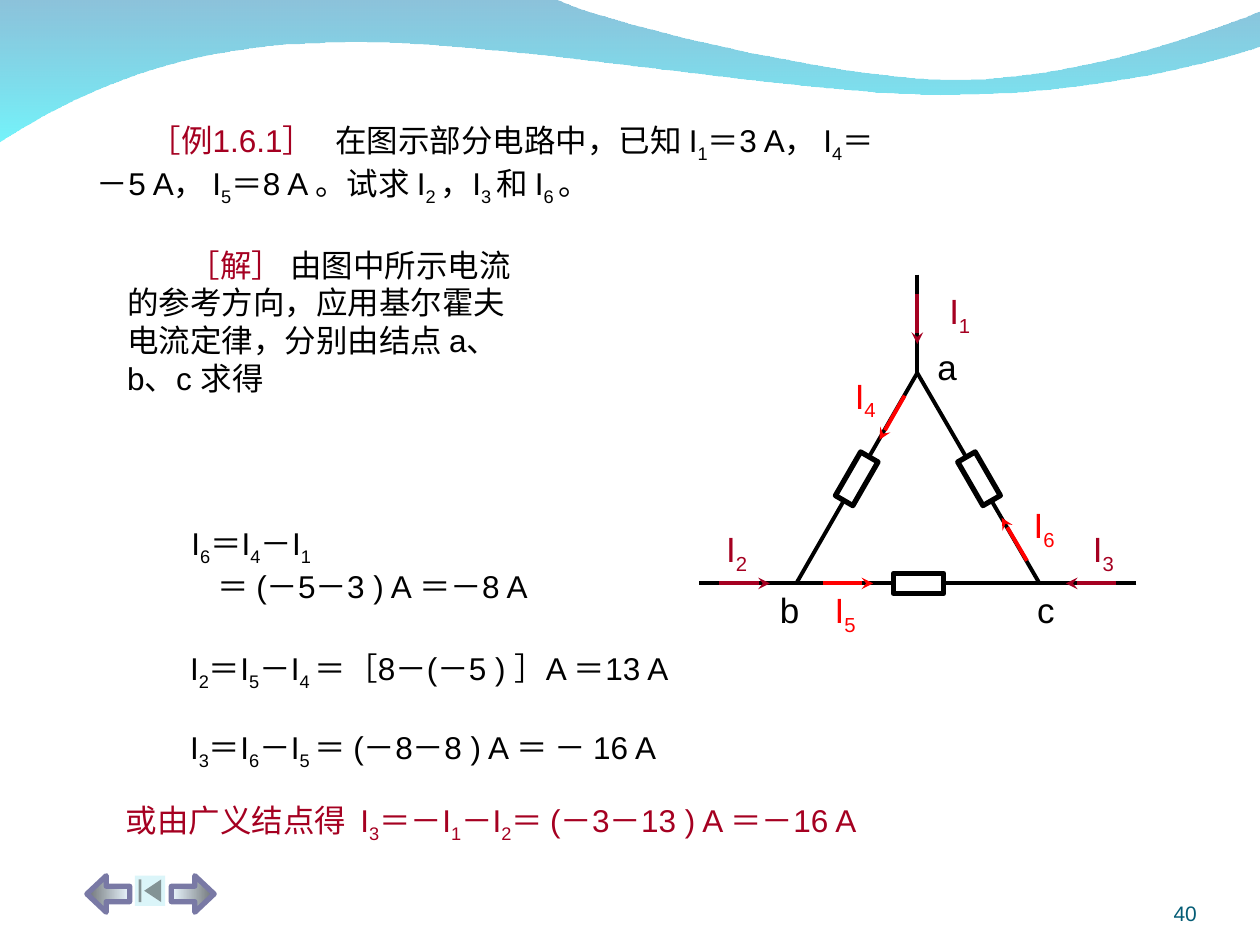
from lxml import etree
from pptx import Presentation
from pptx.dml.color import RGBColor
from pptx.enum.shapes import MSO_CONNECTOR, MSO_SHAPE
from pptx.enum.text import MSO_ANCHOR, MSO_AUTO_SIZE, PP_ALIGN
from pptx.oxml import parse_xml
from pptx.oxml.ns import nsdecls, qn
from pptx.util import Inches, Pt

BLACK, CRIMSON, RED, WHITE = "000000", "A50021", "FF0000", "FFFFFF"

presentation = Presentation()
presentation.slide_width = Inches(10)
presentation.slide_height = Inches(7.5)
slide = presentation.slides.add_slide(presentation.slide_layouts[6])
shapes = slide.shapes


def add_text(left, top, width, height, paragraphs, size=18, label=False, indents={}):
    shape = shapes.add_textbox(Inches(left), Inches(top), Inches(width), Inches(height))
    frame = shape.text_frame
    frame.word_wrap = not label
    frame.auto_size = MSO_AUTO_SIZE.SHAPE_TO_FIT_TEXT
    for index, chunks in enumerate(paragraphs):
        paragraph = frame.add_paragraph() if index else frame.paragraphs[0]
        paragraph.alignment = PP_ALIGN.CENTER if label else PP_ALIGN.LEFT
        if index in indents:
            paragraph._p.get_or_add_pPr().set("indent", str(Inches(indents[index])))
        for text, color in chunks:
            for position, part in enumerate(text.split("|")):
                for line_number, line in enumerate(part.split("\v")):
                    if line_number:
                        paragraph.add_line_break()
                    if not line:
                        continue
                    run = paragraph.add_run()
                    run.text = line
                    run.font.name = "Arial"
                    run.font.size = Pt(size)
                    run.font.color.rgb = RGBColor.from_string(color)
                    if position % 2:
                        run._r.get_or_add_rPr().set("baseline", "-25000")
    return shape


def add_line(start, end, color=BLACK, arrow=False):
    points = [Inches(value) for value in (*start, *end)]
    connector = shapes.add_connector(MSO_CONNECTOR.STRAIGHT, *points)
    connector.line.color.rgb = RGBColor.from_string(color)
    connector.line.width = Pt(2.25)
    if arrow:
        etree.SubElement(connector.line._get_or_add_ln(), qn("a:tailEnd"), type="stealth")
    etree.SubElement(connector._element.spPr, qn("a:effectLst"))


upper = [(4.4, -0.01), (4.76, 0.17), (6.64, 0.63), (7.58, 0.63), (8.53, 0.63), (9.58, 0.26), (10, 0.09)]
lower = [(10.01, 0.36), (9.83, 0.44), (8.7, 0.76), (7.46, 0.75), (6.22, 0.75), (3.82, 0.28),
         (2.58, 0.34), (1.29, 0.36), (0.46, 0.83), (-0.01, 1.13)]
outline = [(0, 0)]
for edge in (upper, lower):
    outline.append(edge[0])
    for first in range(0, len(edge) - 1, 3):
        controls = edge[first:first + 4]
        for step in range(1, 25):
            t = step / 24
            weights = ((1 - t) ** 3, 3 * t * (1 - t) ** 2, 3 * t ** 2 * (1 - t), t ** 3)
            outline.append(tuple(sum(w * point[axis] for w, point in zip(weights, controls))
                                 for axis in (0, 1)))
outline = [(Inches(x), Inches(y)) for x, y in outline]
builder = shapes.build_freeform(*outline[0])
builder.add_line_segments(outline[1:], close=True)
wave = builder.convert_to_shape()
wave.shadow.inherit = False
wave.line.fill.background()
wave.fill.gradient()
wave_gradient = parse_xml(
    f'<a:gradFill {nsdecls("a")} rotWithShape="1"><a:gsLst>'
    '<a:gs pos="0"><a:srgbClr val="0079AF"><a:alpha val="45000"/></a:srgbClr></a:gs>'
    '<a:gs pos="100000"><a:srgbClr val="00EBF8"><a:alpha val="55000"/></a:srgbClr></a:gs>'
    '</a:gsLst><a:lin ang="5400000" scaled="0"/></a:gradFill>')
properties = wave._element.spPr
properties.replace(properties.find(qn("a:gradFill")), wave_gradient)

page_number = add_text(8.67, 6.95, 0.83, 0.4, [[("40", "045C75")]], size=12)
frame = page_number.text_frame
frame.auto_size = MSO_AUTO_SIZE.NONE
frame.vertical_anchor = MSO_ANCHOR.BOTTOM
frame.margin_left = frame.margin_right = frame.margin_top = frame.margin_bottom = 0
frame.paragraphs[0].alignment = PP_ALIGN.RIGHT

add_text(0.91, 1.9, 4.72, 1.3, [
    [("［解］ ", CRIMSON), ("由图中所示电流", BLACK)],
    [("的参考方向，应用基尔霍夫", BLACK)],
    [("电流定律，分别由结点 a、", BLACK)],
    [("b、c 求得", BLACK)],
], indents={0: 0.49})
add_text(0.67, 0.91, 8.94, 0.78, [[
    ("［例1.6.1］   ", CRIMSON),
    ("在图示部分电路中，已知 I|1|＝3 A， I|4|＝\v－5 A， I|5|＝8 A 。试求 I|2 |，I|3 |和 I|6 |。", BLACK),
]], indents={0: 0.42})
add_text(1.42, 4.11, 4.06, 0.74, [
    [("I|6|＝I|4|－I|1", BLACK)],
    [("＝ (－5－3 ) A ＝－8 A", BLACK)],
], indents={1: 0.21})
for left, top, width, equation, color in (
    (1.41, 5.1, 7.09, "I|2|＝I|5|－I|4 |＝［8－(－5 ) ］A ＝13 A", BLACK),
    (1.41, 5.73, 7.09, "I|3|＝I|6|－I|5 |＝ (－8－8 ) A ＝ － 16 A", BLACK),
    (0.9, 6.31, 8.55, "或由广义结点得  I|3|＝－I|1|－I|2|＝ (－3－13 ) A ＝－16 A", CRIMSON),
):
    add_text(left, top, width, 0.44, [[(equation, color)]])

node_a, node_b, node_c = (7.28, 2.96), (6.32, 4.63), (8.25, 4.63)
for start, end, center, rotation, arrow_start, arrow_end in (
    (node_b, node_a, (6.8, 3.8), 300, (7.18, 3.14), (6.98, 3.49)),
    (node_c, node_b, (7.29, 4.63), 180, (6.53, 4.63), (6.93, 4.63)),
    (node_a, node_c, (7.77, 3.8), 60, (8.15, 4.45), (7.95, 4.11)),
):
    add_line(start, end)
    resistor = shapes.add_shape(MSO_SHAPE.RECTANGLE, Inches(center[0] - 0.2), Inches(center[1] - 0.08),
                                Inches(0.4), Inches(0.16))
    resistor.rotation = rotation
    resistor.shadow.inherit = False
    resistor.fill.solid()
    resistor.fill.fore_color.rgb = RGBColor.from_string(WHITE)
    resistor.line.color.rgb = RGBColor.from_string(BLACK)
    resistor.line.width = Pt(3)
    add_line(arrow_start, arrow_end, RED, arrow=True)

for start, end, arrow_start, arrow_end in (
    ((5.55, 4.63), node_b, (5.71, 4.63), (6.11, 4.63)),
    ((9.02, 4.63), node_c, (8.86, 4.63), (8.46, 4.63)),
    ((7.28, 2.18), node_a, (7.28, 2.33), (7.28, 2.73)),
):
    add_line(start, end)
    add_line(arrow_start, arrow_end, CRIMSON, arrow=True)

for left, top, width, height, text, color in (
    (7.34, 2.69, 0.43, 0.44, "a ", BLACK),
    (6.09, 4.62, 0.35, 0.44, "b", BLACK),
    (8.13, 4.62, 0.34, 0.44, "c", BLACK),
    (7.42, 2.25, 0.44, 0.48, "I|1 ", CRIMSON),
    (5.65, 4.14, 0.44, 0.48, "I|2 ", CRIMSON),
    (8.56, 4.14, 0.44, 0.48, "I|3 ", CRIMSON),
    (6.67, 2.92, 0.44, 0.48, "I|4 ", RED),
    (6.51, 4.62, 0.44, 0.48, "I|5 ", RED),
    (8.09, 3.95, 0.44, 0.48, "I|6 ", RED),
):
    add_text(left, top, width, height, [[(text, color)]], size=20, label=True)

for left, flipped in ((1.36, False), (0.69, True)):
    arrow = shapes.add_shape(MSO_SHAPE.RIGHT_ARROW, Inches(left), Inches(6.95), Inches(0.34), Inches(0.29))
    arrow.adjustments[0] = 0.42
    arrow.adjustments[1] = 0.53
    arrow.shadow.inherit = False
    arrow.fill.gradient()
    arrow.fill.gradient_angle = 0
    for stop, color in zip(arrow.fill.gradient_stops, ("EBF7FF", "6D7276")):
        stop.color.rgb = RGBColor.from_string(color)
    arrow.line.color.rgb = RGBColor.from_string("7979A5")
    arrow.line.width = Pt(3)
    if flipped:
        arrow._element.spPr.find(qn("a:xfrm")).set("flipH", "1")

button = shapes.add_shape(MSO_SHAPE.ACTION_BUTTON_BEGINNING, Inches(1.07), Inches(6.95), Inches(0.24), Inches(0.24))
button.shadow.inherit = False
button.fill.solid()
button.fill.fore_color.rgb = RGBColor.from_string("DBF5F9")
button.line.fill.background()

presentation.save("out.pptx")
